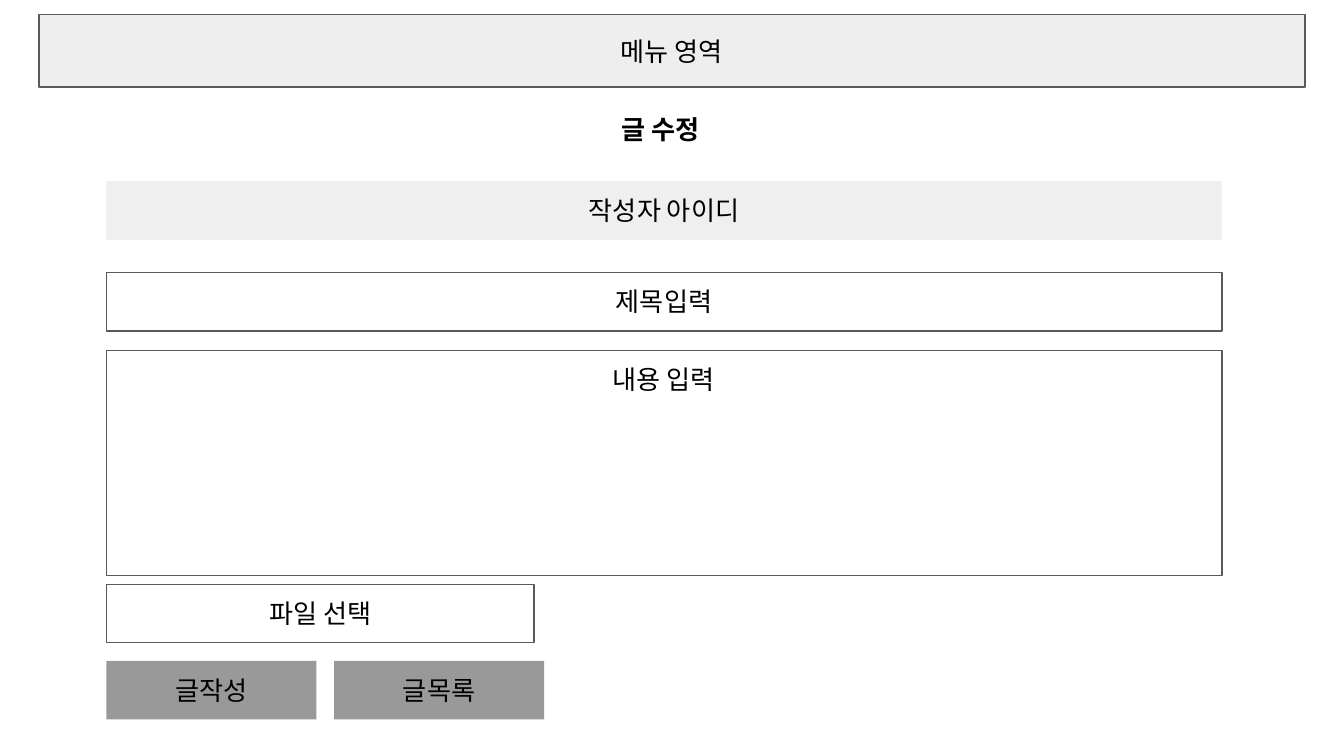
from dataclasses import dataclass

from pptx import Presentation
from pptx.dml.color import RGBColor
from pptx.enum.shapes import MSO_SHAPE
from pptx.enum.text import MSO_ANCHOR, MSO_AUTO_SIZE, PP_ALIGN
from pptx.util import Pt

RECT = MSO_SHAPE.RECTANGLE
TOP, MIDDLE = MSO_ANCHOR.TOP, MSO_ANCHOR.MIDDLE
GROW, FIXED = MSO_AUTO_SIZE.SHAPE_TO_FIT_TEXT, MSO_AUTO_SIZE.NONE
LEFT, CENTER = PP_ALIGN.LEFT, PP_ALIGN.CENTER


@dataclass(frozen=True)
class Theme:
    font: str = "Arial"
    size: float = 14
    inset: float = 7.2
    rule: float = 0.75
    ink: str = "000000"
    line: str = "595959"
    menu: str = "EEEEEE"
    locked: str = "EFEFEF"
    field: str = "FFFFFF"
    button: str = "999999"


THEME = Theme()


def color(code):
    return RGBColor.from_string(code)


def set_text(shape, text, align, anchor, fit, bold=False):
    frame = shape.text_frame
    frame.text = text
    frame.word_wrap = True
    frame.auto_size = fit
    frame.vertical_anchor = anchor
    inset = Pt(THEME.inset)
    frame.margin_left = frame.margin_right = inset
    frame.margin_top = frame.margin_bottom = inset
    line = frame.paragraphs[0]
    line.alignment = align
    font = line.runs[0].font
    font.name = THEME.font
    font.size = Pt(THEME.size)
    font.bold = bold
    font.color.rgb = color(THEME.ink)


def add_title(slide, box, text):
    title = slide.shapes.add_textbox(*map(Pt, box))
    set_text(title, text, LEFT, TOP, GROW, bold=True)


def add_box(slide, box, text, fill, border=True, anchor=TOP, fit=FIXED):
    shape = slide.shapes.add_shape(RECT, *map(Pt, box))
    shape.shadow.inherit = False
    shape.fill.solid()
    shape.fill.fore_color.rgb = color(fill)
    if border:
        shape.line.color.rgb = color(THEME.line)
        shape.line.width = Pt(THEME.rule)
    else:
        shape.line.fill.background()
    set_text(shape, text, CENTER, anchor, fit)


def main():
    deck = Presentation()
    deck.slide_width, deck.slide_height = Pt(720), Pt(405)
    slide = deck.slides.add_slide(deck.slide_layouts[6])

    # Shared column and row height of the form
    left, width, row = 57, 597.6, 31.5

    # Page head
    add_title(slide, (326, 53.3, 279.4, row), "글 수정")
    add_box(slide, (20.9, 7.8, 678.2, 38.8), "메뉴 영역", THEME.menu,
            anchor=MIDDLE)

    # Form fields
    add_box(slide, (left, 97, width, row), "작성자 아이디", THEME.locked,
            border=False, fit=GROW)
    add_box(slide, (left, 145.9, width, row), "제목입력", THEME.field,
            fit=GROW)
    add_box(slide, (left, 187.7, width, 120.5), "내용 입력", THEME.field)
    add_box(slide, (left, 313.2, 229.2, 31), "파일 선택", THEME.field,
            anchor=MIDDLE)

    # Buttons
    wide, step = 112.5, 122
    for i, label in enumerate(("글작성", "글목록")):
        add_box(slide, (left + i * step, 354, wide, row), label,
                THEME.button, border=False, fit=GROW)

    deck.save("out.pptx")


if __name__ == "__main__":
    main()
